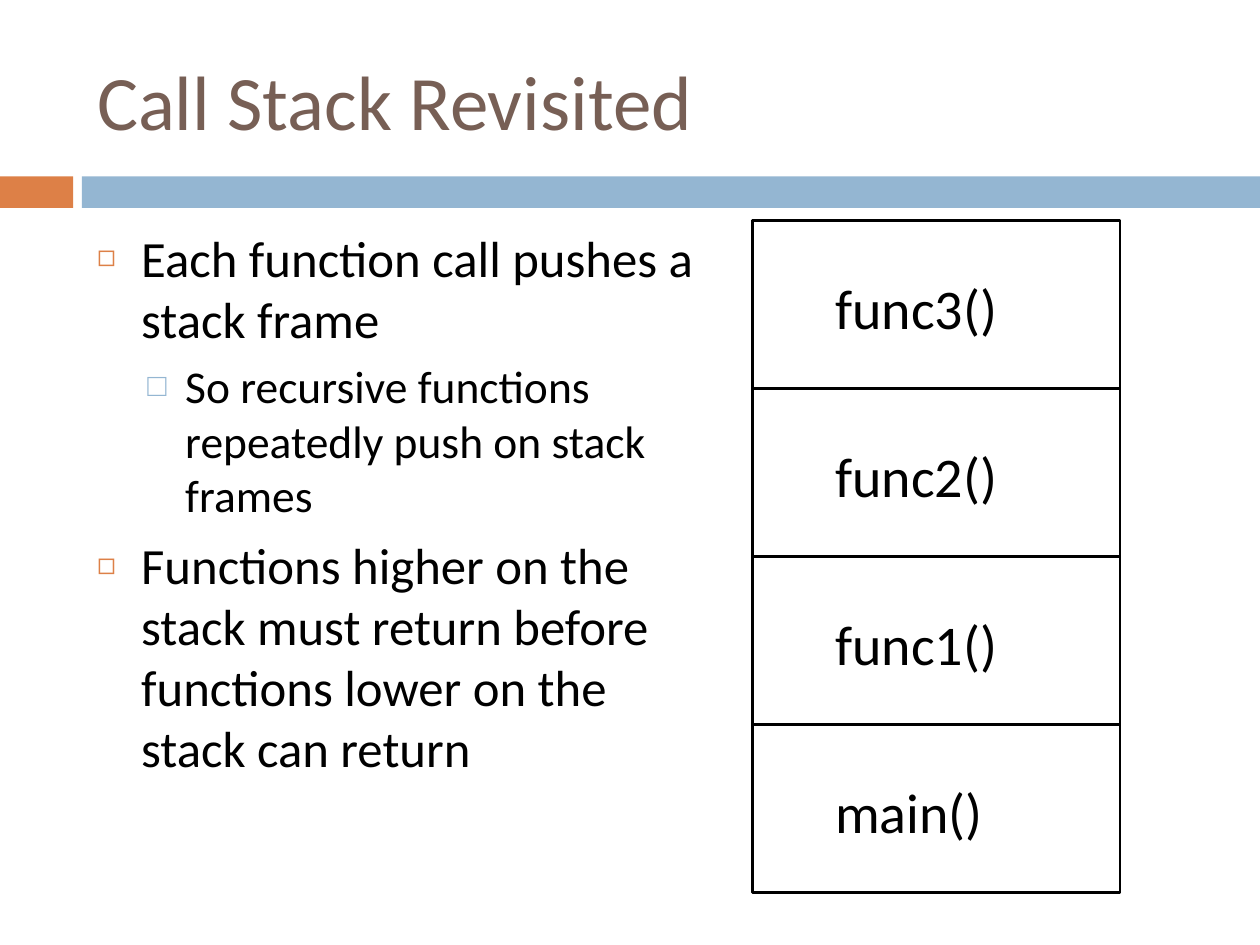
from dataclasses import dataclass

from lxml.etree import SubElement
from pptx import Presentation
from pptx.dml.color import RGBColor
from pptx.enum.shapes import MSO_SHAPE
from pptx.enum.text import MSO_ANCHOR, MSO_AUTO_SIZE, PP_ALIGN
from pptx.oxml.ns import qn
from pptx.util import Inches, Pt

ORANGE = RGBColor(0xDD, 0x80, 0x47)
BLUE = RGBColor(0x94, 0xB6, 0xD2)
BROWN = RGBColor(0x77, 0x5F, 0x55)
BLACK = RGBColor(0, 0, 0)
FONT = "Calibri"

LEFT_MARGIN = 0.67
CONTENT_TOP = 1.75
STACK_LEFT, FRAME_WIDTH, FRAME_HEIGHT = 5.97, 2.92, 4 / 3
LABEL_INDENT, LABEL_DROP = 0.56, 0.37
CALLS = ["func3()", "func2()", "func1()", "main()"]


@dataclass(frozen=True)
class Area:
    left: float
    top: float
    width: float
    height: float

    def emu(self) -> list:
        return [Inches(n) for n in (self.left, self.top, self.width, self.height)]


@dataclass(frozen=True)
class Level:
    depth: int
    size: int
    margin: float
    hanging: float
    before: float
    symbol: str
    symbol_color: RGBColor
    symbol_percent: int


MAIN = Level(0, 29, 0.35, 0.35, 7, "◻", ORANGE, 60)
SUB = Level(1, 26, 0.7, 0.3, 5.5, "□", BLUE, 70)
POINTS = [
    (MAIN, "Each function call pushes a stack frame"),
    (SUB, "So recursive functions repeatedly push on stack frames"),
    (MAIN, "Functions higher on the stack must return before functions lower on the stack can return"),
]


def place(shape, area: Area) -> None:
    shape.left, shape.top, shape.width, shape.height = area.emu()


def format_runs(para, size: int, color: RGBColor) -> None:
    for span in para.runs:
        span.font.name = FONT
        span.font.size = Pt(size)
        span.font.color.rgb = color


def add_rectangle(page, area: Area):
    box = page.shapes.add_shape(MSO_SHAPE.RECTANGLE, *area.emu())
    box.shadow.inherit = False
    return box


def add_band(page, area: Area, color: RGBColor) -> None:
    band = add_rectangle(page, area)
    band.fill.solid()
    band.fill.fore_color.rgb = color
    band.line.fill.background()


def add_frame(page, row: int) -> None:
    top = CONTENT_TOP + row * FRAME_HEIGHT
    frame = add_rectangle(page, Area(STACK_LEFT, top, FRAME_WIDTH, FRAME_HEIGHT))
    frame.fill.background()
    frame.line.color.rgb = BLACK
    frame.line.width = Pt(1.5)


def add_label(page, row: int, call: str) -> None:
    top = CONTENT_TOP + row * FRAME_HEIGHT + LABEL_DROP
    box = page.shapes.add_textbox(*Area(STACK_LEFT + LABEL_INDENT, top, 2.58, 0.64).emu())
    box.text_frame.word_wrap = True
    box.text_frame.text = call
    format_runs(box.text_frame.paragraphs[0], 32, BLACK)


def set_bullet(para, level: Level) -> None:
    properties = para._p.get_or_add_pPr()
    properties.set("marL", str(Inches(level.margin)))
    properties.set("indent", str(-Inches(level.hanging)))
    color = SubElement(properties, qn("a:buClr"))
    SubElement(color, qn("a:srgbClr"), val=str(level.symbol_color))
    SubElement(properties, qn("a:buSzPct"), val=str(level.symbol_percent * 1000))
    SubElement(properties, qn("a:buChar"), char=level.symbol)


def fill_title(title) -> None:
    place(title, Area(LEFT_MARGIN, 0.25, 8.92, 1.08))
    title.text_frame.text = "Call Stack Revisited"
    title.text_frame.vertical_anchor = MSO_ANCHOR.MIDDLE
    title.text_frame.auto_size = MSO_AUTO_SIZE.NONE
    para = title.text_frame.paragraphs[0]
    para.alignment = PP_ALIGN.LEFT
    format_runs(para, 44, BROWN)


def fill_body(body) -> None:
    place(body, Area(LEFT_MARGIN, CONTENT_TOP, 5.04, 4.92))
    frame = body.text_frame
    frame.auto_size = MSO_AUTO_SIZE.NONE
    for index, (level, text) in enumerate(POINTS):
        para = frame.add_paragraph() if index else frame.paragraphs[0]
        para.text = text
        para.level = level.depth
        set_bullet(para, level)
        para.space_before = Pt(level.before if index else 0)
        format_runs(para, level.size, BLACK)


def main() -> None:
    deck = Presentation()
    deck.slide_width, deck.slide_height = Inches(10), Inches(7.5)
    page = deck.slides.add_slide(deck.slide_layouts[1])
    add_band(page, Area(0, 1.4, 0.58, 0.25), ORANGE)
    add_band(page, Area(0.65, 1.4, 9.35, 0.25), BLUE)
    fill_title(page.shapes.title)
    fill_body(page.placeholders[1])
    for row in range(len(CALLS)):
        add_frame(page, row)
    for row, call in enumerate(CALLS):
        add_label(page, row, call)
    deck.save("out.pptx")


if __name__ == "__main__":
    main()
